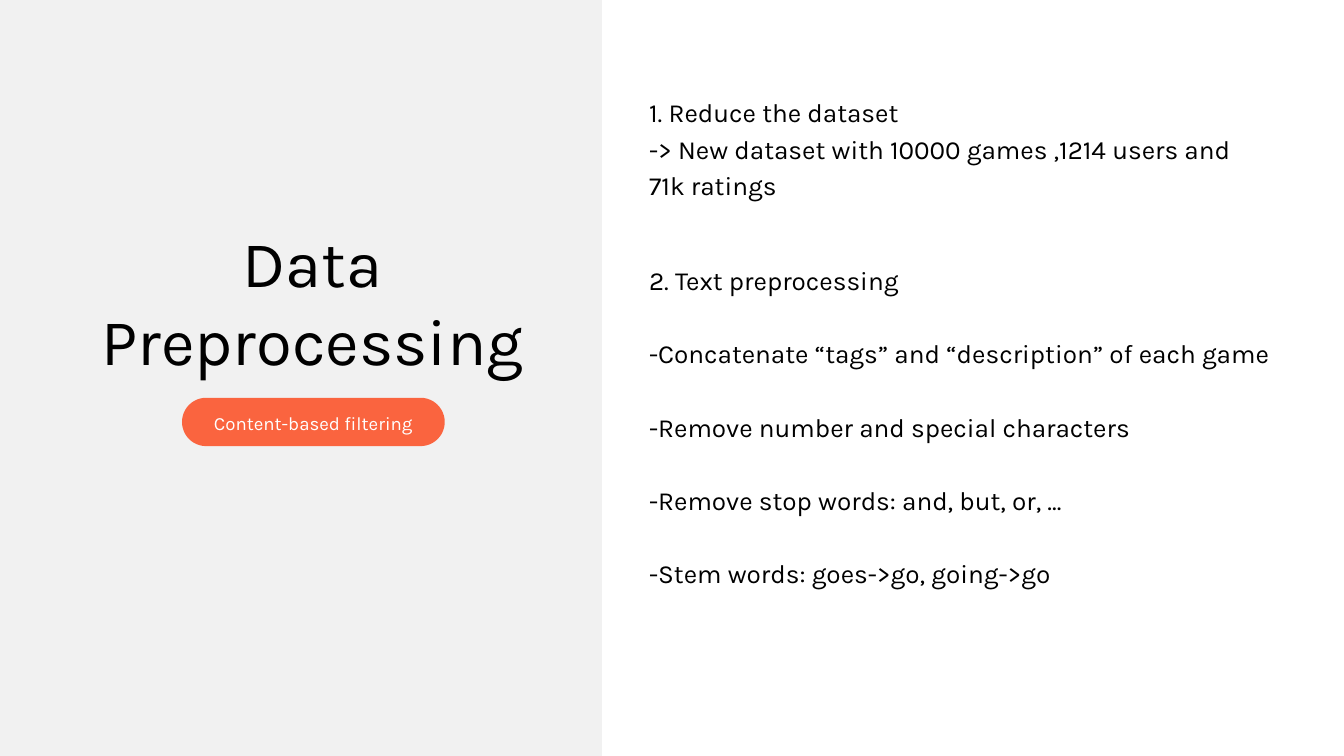
from pptx import Presentation
from pptx.dml.color import RGBColor
from pptx.enum.shapes import MSO_SHAPE
from pptx.enum.text import PP_ALIGN
from pptx.util import Pt

RECTANGLE = MSO_SHAPE.RECTANGLE
PILL = MSO_SHAPE.ROUNDED_RECTANGLE
CENTER = PP_ALIGN.CENTER
JUSTIFY = PP_ALIGN.JUSTIFY

BLACK = RGBColor(0x00, 0x00, 0x00)
WHITE = RGBColor(0xFF, 0xFF, 0xFF)
LIGHT_GREY = RGBColor(0xF1, 0xF1, 0xF1)
ORANGE = RGBColor(0xFA, 0x64, 0x3F)

WIDTH, HEIGHT = 1440, 810
BODY_LEFT = 695.5
BODY_LINE = 39.2

REDUCE_LINES = [
    "1. Reduce the dataset",
    "-> New dataset with 10000 games ,1214 users and",
    "71k ratings",
]
TEXT_STEPS = [
    "2. Text preprocessing",
    "-Concatenate “tags” and “description” of each game",
    "-Remove number and special characters",
    "-Remove stop words: and, but, or, ...",
    "-Stem words: goes->go, going->go",
]


class SlideBuilder:
    """Holds the text style and the current slide."""

    font_name = "Karla"

    def __init__(self, slide):
        self.slide = slide

    def background(self, color):
        fill = self.slide.background.fill
        fill.solid()
        fill.fore_color.rgb = color

    def shape(self, kind, box, color):
        shape = self.slide.shapes.add_shape(kind, *map(Pt, box))
        shape.shadow.inherit = False
        shape.fill.solid()
        shape.fill.fore_color.rgb = color
        shape.line.fill.background()
        return shape

    def text(self, box, lines, size, line_height, color=BLACK,
             alignment=JUSTIFY, gap=0):
        frame = self.slide.shapes.add_textbox(*map(Pt, box)).text_frame
        frame_format = {"word_wrap": True}
        for side in ("left", "top", "right", "bottom"):
            frame_format[f"margin_{side}"] = 0
        for name, value in frame_format.items():
            setattr(frame, name, value)

        frame.text = "\n".join(lines)
        paragraph_format = {"alignment": alignment,
                            "line_spacing": Pt(line_height)}
        font_format = {"name": self.font_name, "size": Pt(size)}
        for index, paragraph in enumerate(frame.paragraphs):
            for name, value in paragraph_format.items():
                setattr(paragraph, name, value)
            paragraph.space_before = Pt(gap if index else 0)
            font = paragraph.runs[0].font
            for name, value in font_format.items():
                setattr(font, name, value)
            font.color.rgb = color


def main():
    presentation = Presentation()
    presentation.slide_width = Pt(WIDTH)
    presentation.slide_height = Pt(HEIGHT)
    blank_layout = presentation.slide_layouts[6]
    builder = SlideBuilder(presentation.slides.add_slide(blank_layout))
    builder.background(WHITE)

    # Left panel with the category label and the title
    builder.shape(RECTANGLE, (0, 0, 645, HEIGHT), LIGHT_GREY)
    label = builder.shape(PILL, (195, 426.2, 281.5, 51.8), ORANGE)
    label.adjustments[0] = 0.5
    builder.text((220.5, 437, 230.4, 27.4), ["Content-based filtering"],
                 20, 28, WHITE, CENTER)
    builder.text((80.6, 237.6, 509, 167), ["Data Preprocessing"],
                 70, 84, alignment=CENTER)

    # Right side: the two preprocessing stages
    builder.text((BODY_LEFT, 278, 681, 428.4), TEXT_STEPS,
                 28, BODY_LINE, gap=BODY_LINE)
    builder.text((BODY_LEFT, 98, 651.6, 116.6), REDUCE_LINES, 28, BODY_LINE)

    presentation.save("out.pptx")


if __name__ == "__main__":
    main()
